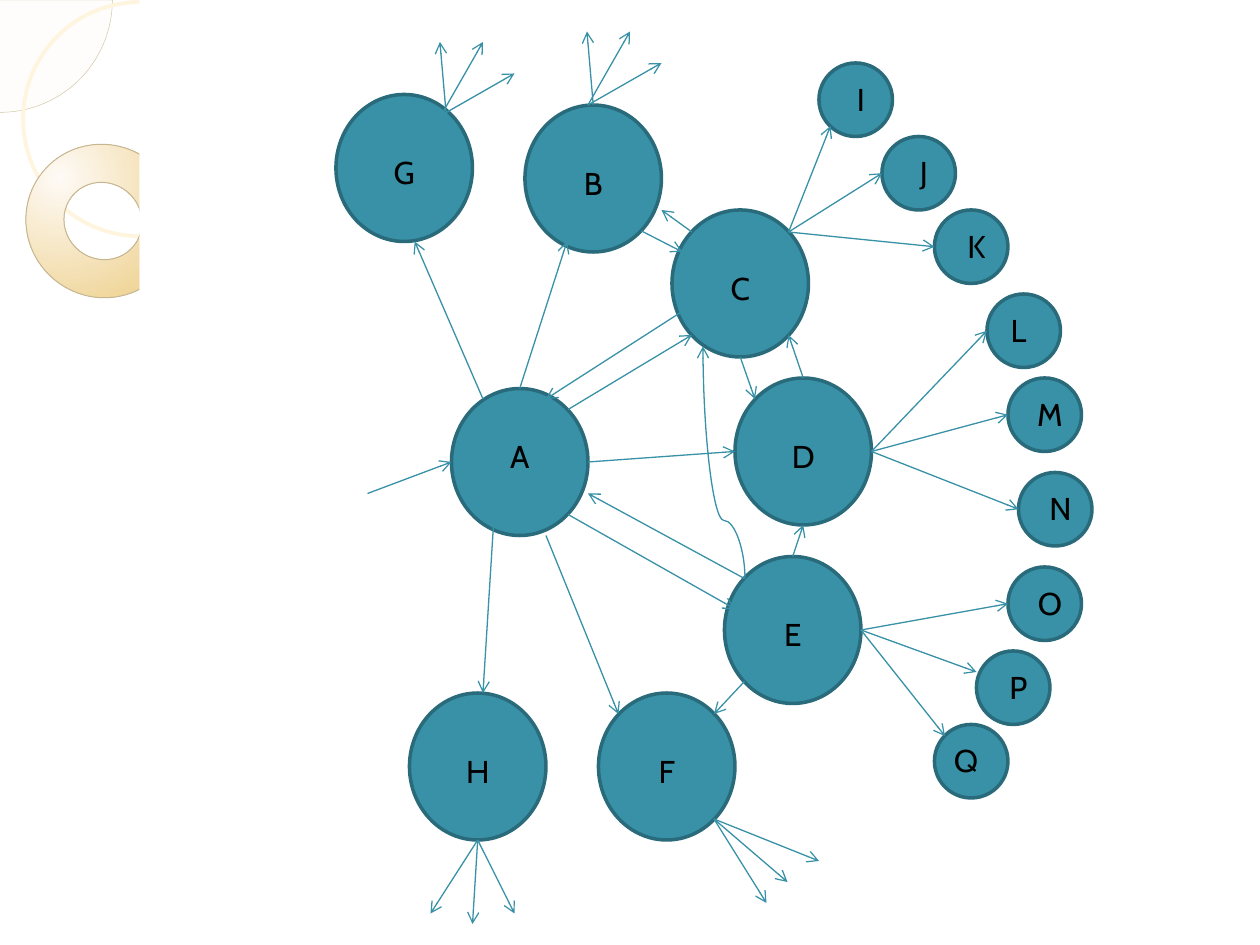
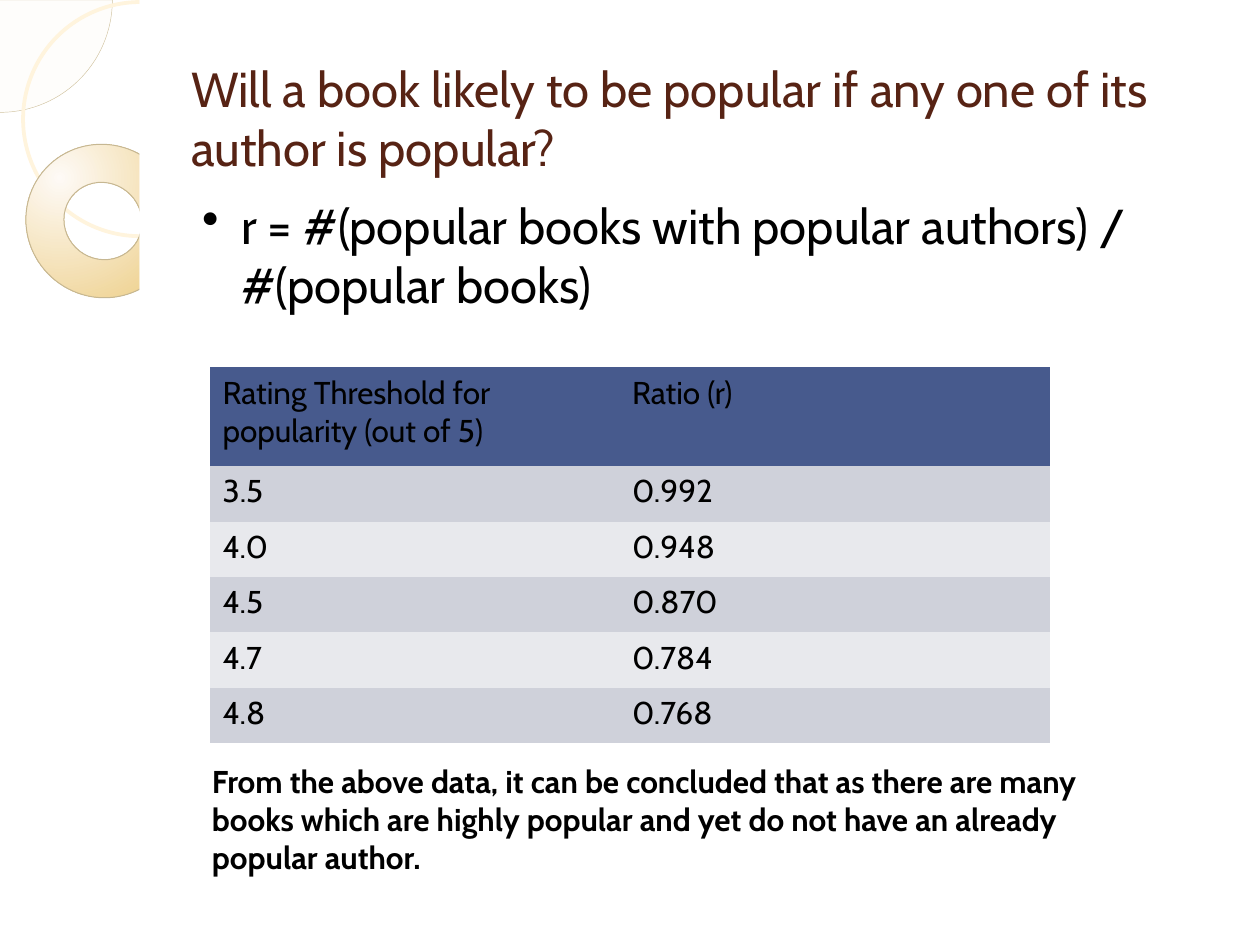
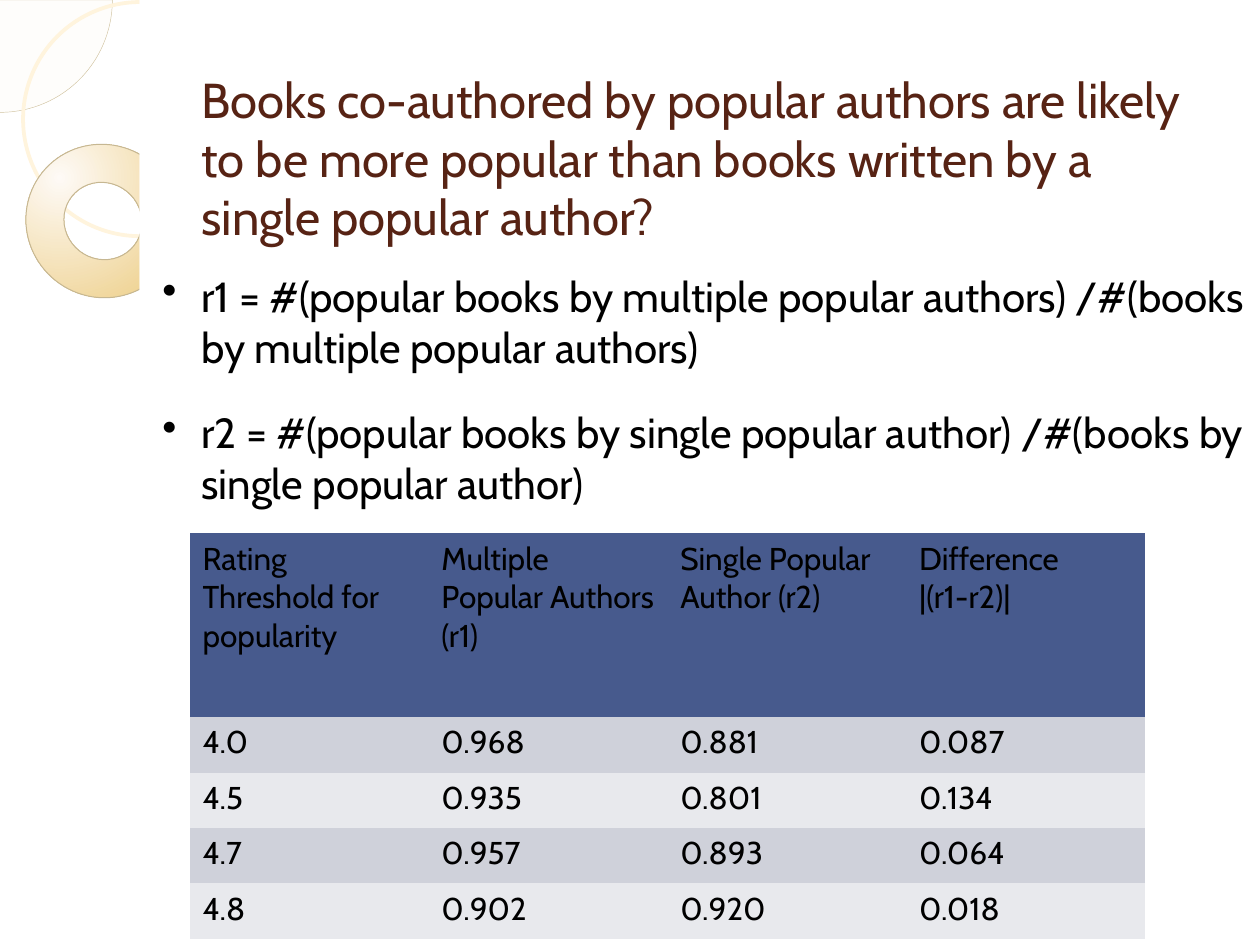
import lxml.etree
import pptx
import pptx.dml.color
import pptx.enum.shapes
import pptx.enum.text
import pptx.oxml.ns
import pptx.util

SHAPE = pptx.enum.shapes.MSO_SHAPE
LINK = pptx.enum.shapes.MSO_CONNECTOR
ALIGN = pptx.enum.text.PP_ALIGN
qn = pptx.oxml.ns.qn
Pt = pptx.util.Pt

COLS, ROWS = 120, 90  # grid of the slide
CELL = pptx.util.Inches(10) / COLS
FONT = "Cabin"
BLACK, WHITE, BROWN = "000000", "FFFFFF", "572314"
TEAL, RIM = "3891A7", "296B7B"
HEAD, BANDS = "475A8D", ("CFD1DA", "E8E9ED")
PLAIN_TABLE = "{2D5ABB26-0587-4C30-8999-92F81FD0307C}"

BIG, SMALL = (13, 14), (7, 7)
# name: left, top
HUBS = {"A": (43, 37), "E": (69, 53), "D": (70, 36), "C": (64, 20),
        "B": (50, 10), "F": (57, 66), "G": (32, 9), "H": (39, 66)}
LEAVES = {"I": (78, 6), "J": (84, 13), "K": (89, 20), "L": (94, 28),
          "M": (96, 36), "N": (97, 45), "O": (96, 54), "P": (93, 62),
          "Q": (89, 69)}
# start point, end points
ARROWS = [
    ((35, 47), [(43, 44)]),
    ((56, 44), [(70, 43)]),
    ((54.1, 39), [(65.9, 31.9)]),
    ((49.5, 37), [(54, 23)]),
    ((54.1, 49), [(70, 58)]),
    ((52, 51), [(58.9, 68)]),
    ((46, 38), [(39.5, 23)]),
    ((47, 50), [(46, 66)]),
    ((56, 10), [(63, 6), (60, 3)]),
    ((56.5, 10), [(55.9, 3)]),
    ((61.1, 22), [(65, 24)]),
    ((65.9, 22.1), [(63, 20)]),
    ((66, 29), [(52, 38)]),
    ((70.5, 34), [(71.9, 38)]),
    ((75.1, 22.1), [(89, 23.5), (84, 16.5), (79.1, 12)]),
    ((76.5, 36), [(75.1, 31.9)]),
    ((83, 43), [(97, 48.5), (96, 39.5), (94, 31.5)]),
    ((70.9, 55.1), [(56, 47)]),
    ((75.5, 53), [(76.5, 50)]),
    ((70.9, 64.9), [(68, 68)]),
    ((82, 60), [(90, 70.1), (93, 64), (96, 57.5)]),
    ((42, 11), [(49, 7), (46, 4)]),
    ((42.5, 10.9), [(41.9, 4)]),
    ((68, 78), [(78, 82), (75, 84), (73, 86)]),
    ((45.5, 80), [(49, 87), (45, 88), (41, 87)]),
]


def rgb(code):
    return pptx.dml.color.RGBColor.from_string(code)


def cells(*counts):
    """Turn grid cells into lengths."""
    return [round(n * CELL) for n in counts]


def tag(parent, kind, /, **attrs):
    return lxml.etree.SubElement(parent, qn(kind), attrs)


def draw(slide, kind, box, fill=None, line=None, width=1):
    shape = slide.shapes.add_shape(kind, *cells(*box))
    shape.shadow.inherit = False
    if fill:
        shape.fill.solid()
        shape.fill.fore_color.rgb = rgb(fill)
    else:
        shape.fill.background()
    if line:
        shape.line.color.rgb = rgb(line)
        shape.line.width = Pt(width)
    else:
        shape.line.fill.background()
    return shape


def style(para, size, color=BLACK, bold=False, align=ALIGN.LEFT):
    para.alignment = align
    font = para.font
    font.name, font.size, font.bold = FONT, Pt(size), bold
    font.color.rgb = rgb(color)


def write(slide, box, text, size, **look):
    frame = slide.shapes.add_textbox(*cells(*box)).text_frame
    frame.word_wrap = True
    frame.text = text
    for para in frame.paragraphs:
        style(para, size, **look)
    return frame


def arrow(slide, start, end, kind=LINK.STRAIGHT):
    link = slide.shapes.add_connector(kind, *cells(*start, *end))
    link.line.color.rgb = rgb(TEAL)
    link.line.width = Pt(0.75)
    props = link.element.spPr
    tag(props.find(qn("a:ln")), "a:tailEnd", type="arrow")
    tag(props, "a:effectLst")
    return link


def bend(slide):
    """Curved arrow that rises from E to C."""
    link = arrow(slide, (57.9, 42.05), (80, 46.05), LINK.CURVE)
    props = link.element.spPr
    frame = props.find(qn("a:xfrm"))
    frame.set("rot", "16200000")
    frame.set("flipV", "1")
    geom = props.find(qn("a:prstGeom"))
    guides = geom.find(qn("a:avLst"))
    if guides is None:
        guides = tag(geom, "a:avLst")
    tag(guides, "a:gd", name="adj1", fmla="val 25000")


def adorn(deck, slide):
    """Draw the side ornament and move it to the master."""
    disc = draw(slide, SHAPE.BLOCK_ARC, (-10.7, -10.7, 21.4, 21.4),
                "FCFAF4", "D1C3A0", 0.25)
    for i, value in enumerate((0, 108, 0.5)):
        disc.adjustments[i] = value
    tint = next(disc.element.iter(qn("a:srgbClr")))
    tag(tint, "a:alpha", val="33000")

    draw(slide, SHAPE.OVAL, (2.2, 0.2, 22.3, 22.3), None, "FFF4DD", 2.15)

    ring = draw(slide, SHAPE.DONUT, (2.4, 13.8, 14.8, 14.5),
                None, "C6B792", 0.57)
    ring.rotation = 38.6
    ring.adjustments[0] = 0.25
    ring.fill.gradient()
    for stop, code in zip(ring.fill.gradient_stops, ("FEFAF6", "EED18E")):
        stop.color.rgb = rgb(code)
    grad = ring.element.spPr.find(qn("a:gradFill"))
    grad.remove(grad.find(qn("a:lin")))
    glow = tag(grad, "a:path", path="circle")
    tag(glow, "a:fillToRect", l="30000", t="30000", r="70000", b="70000")

    edge = 13.3
    for width in (COLS - edge, 1):
        draw(slide, SHAPE.RECTANGLE, (edge, 0, width, ROWS), WHITE)

    tree = deck.slide_master.shapes.element
    for shape in list(slide.shapes):
        shape.element.nvSpPr.cNvPr.set("id", str(shape.shape_id + 100))
        tree.append(shape.element)


def graph(slide):
    for nodes, size in ((HUBS, BIG), (LEAVES, SMALL)):
        for spot in nodes.values():
            draw(slide, SHAPE.OVAL, (*spot, *size), TEAL, RIM, 2)
    for start, ends in ARROWS:
        for end in ends:
            arrow(slide, start, end)
    bend(slide)
    for name, (x, y) in HUBS.items():
        drop = 4 if name == "A" else 5
        write(slide, (x + 2, y + drop, 9, 4.8), name, 18, align=ALIGN.CENTER)
    for name, (x, y) in LEAVES.items():
        shift = 0 if name in "LQ" else 1
        write(slide, (x + shift, y + 1, 6, 4.8), name, 18, align=ALIGN.CENTER)


def head(slide, box, text):
    title = slide.shapes.title
    title.left, title.top, title.width, title.height = cells(*box)
    frame = title.text_frame
    frame.text = text
    frame.word_wrap = True
    frame.auto_size = pptx.enum.text.MSO_AUTO_SIZE.NONE
    frame.vertical_anchor = pptx.enum.text.MSO_ANCHOR.TOP
    style(frame.paragraphs[0], 28, BROWN)


def points(slide, box, lines, size):
    frame = write(slide, box, "\n".join(lines), size)
    for i, para in enumerate(frame.paragraphs):
        props = para._p.get_or_add_pPr()
        props.set("marL", str(pptx.util.Inches(0.4)))
        props.set("indent", str(pptx.util.Inches(-0.31)))
        mark = lxml.etree.Element(qn("a:buChar"), char="•")
        props.insert(0, mark)
        para.space_before = Pt(6 if i else 0)
        para.space_after = Pt(14.2)


def grid(slide, spot, widths, top, rows):
    """Table with a header row of height top and banded rows."""
    heights = [top] + [5.28] * (len(rows) - 1)
    box = cells(*spot, sum(widths), sum(heights))
    table = slide.shapes.add_table(len(rows), len(widths), *box).table
    table.first_row = table.horz_banding = False
    next(table._tbl.iter(qn("a:tableStyleId"))).text = PLAIN_TABLE
    for col, width in zip(table.columns, cells(*widths)):
        col.width = width
    for row, height in zip(table.rows, cells(*heights)):
        row.height = height
    for r, row in enumerate(rows):
        for c, text in enumerate(row):
            cell = table.cell(r, c)
            cell.fill.solid()
            cell.fill.fore_color.rgb = rgb(BANDS[(r - 1) % 2] if r else HEAD)
            cell.text = text
            for para in cell.text_frame.paragraphs:
                style(para, 18)


def ratio(slide):
    head(slide, (17, 5, 98.4, 15.4),
         "Will a book likely to be popular if any one of its author is "
         "popular?")
    points(slide, (17, 18, 98.4, 57),
           ["r = #(popular books with popular authors) / #(popular books)"],
           28)
    grid(slide, (20, 35), (39, 41), 9.4, [
        ("Rating Threshold for popularity (out of 5)", "Ratio (r)"),
        ("3.5", "0.992"),
        ("4.0", "0.948"),
        ("4.5", "0.870"),
        ("4.7", "0.784"),
        ("4.8", "0.768"),
    ])
    write(slide, (19, 72, 87, 12),
          "From the above data, it can be concluded that as there are many "
          "books which are highly popular and yet do not have an already "
          "popular author.", 18, bold=True)


def compare(slide):
    head(slide, (18, 6, 98.4, 15),
         "Books co-authored by popular authors are likely to be more popular "
         "than books written by a single popular author?")
    points(slide, (13.2, 25.2, 108.7, 33), [
        "r1 = #(popular books by multiple popular authors) /#(books by "
        "multiple popular authors)",
        "r2 = #(popular books by single popular author) /#(books by single "
        "popular author)",
    ], 24)
    grid(slide, (18.1, 50.8), [22.75] * 4, 17.5, [
        ("Rating Threshold for popularity", "Multiple Popular Authors (r1)",
         "Single Popular Author (r2)", "Difference\n|(r1-r2)|"),
        ("4.0", "0.968", "0.881", "0.087"),
        ("4.5", "0.935", "0.801", "0.134"),
        ("4.7", "0.957", "0.893", "0.064"),
        ("4.8", "0.902", "0.920", "0.018"),
    ])


def main():
    deck = pptx.Presentation()
    deck.slide_width, deck.slide_height = cells(COLS, ROWS)
    bare, titled = deck.slide_layouts[6], deck.slide_layouts[5]
    first = deck.slides.add_slide(bare)
    adorn(deck, first)
    graph(first)
    for build in (ratio, compare):
        build(deck.slides.add_slide(titled))
    deck.save("out.pptx")


if __name__ == "__main__":
    main()
